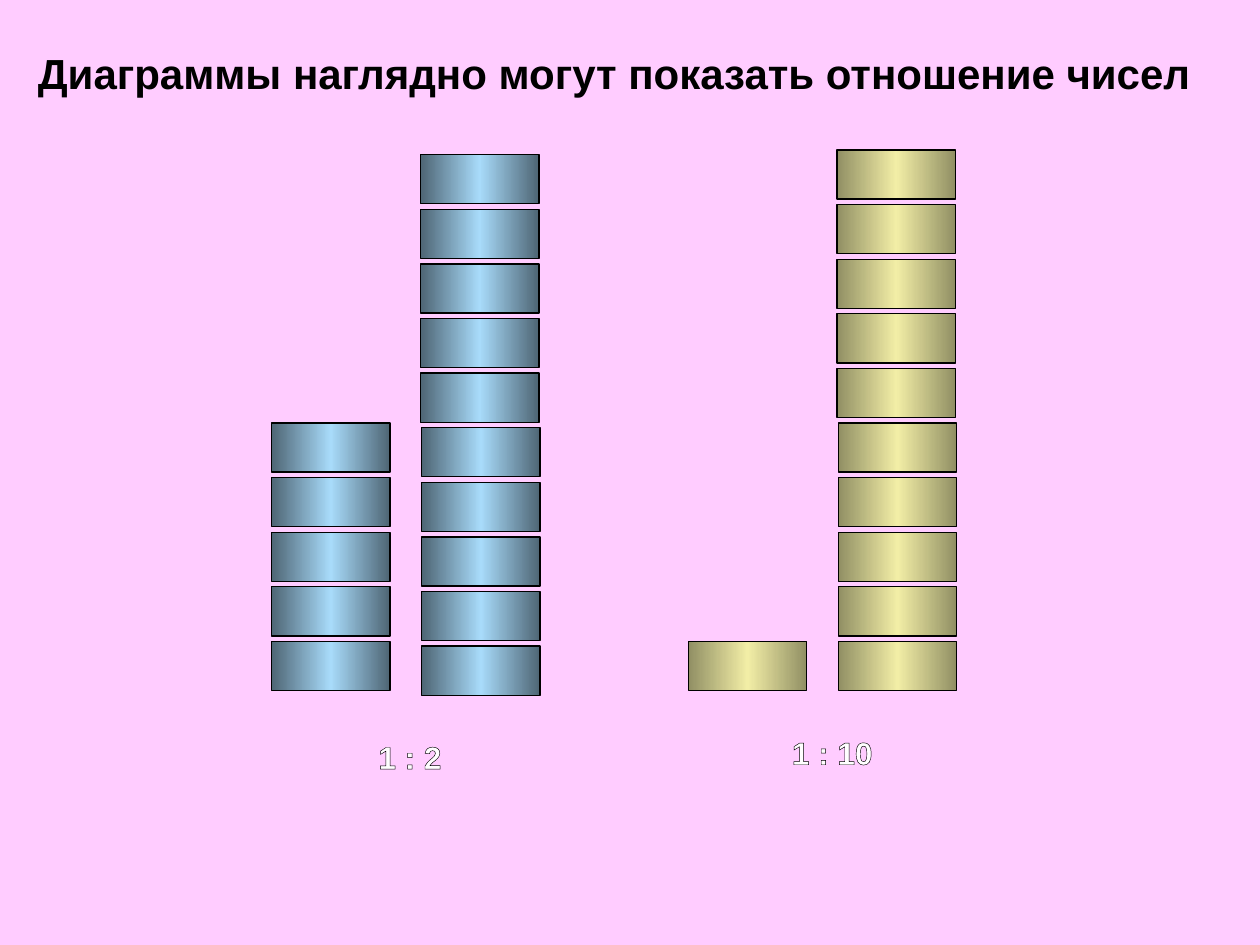
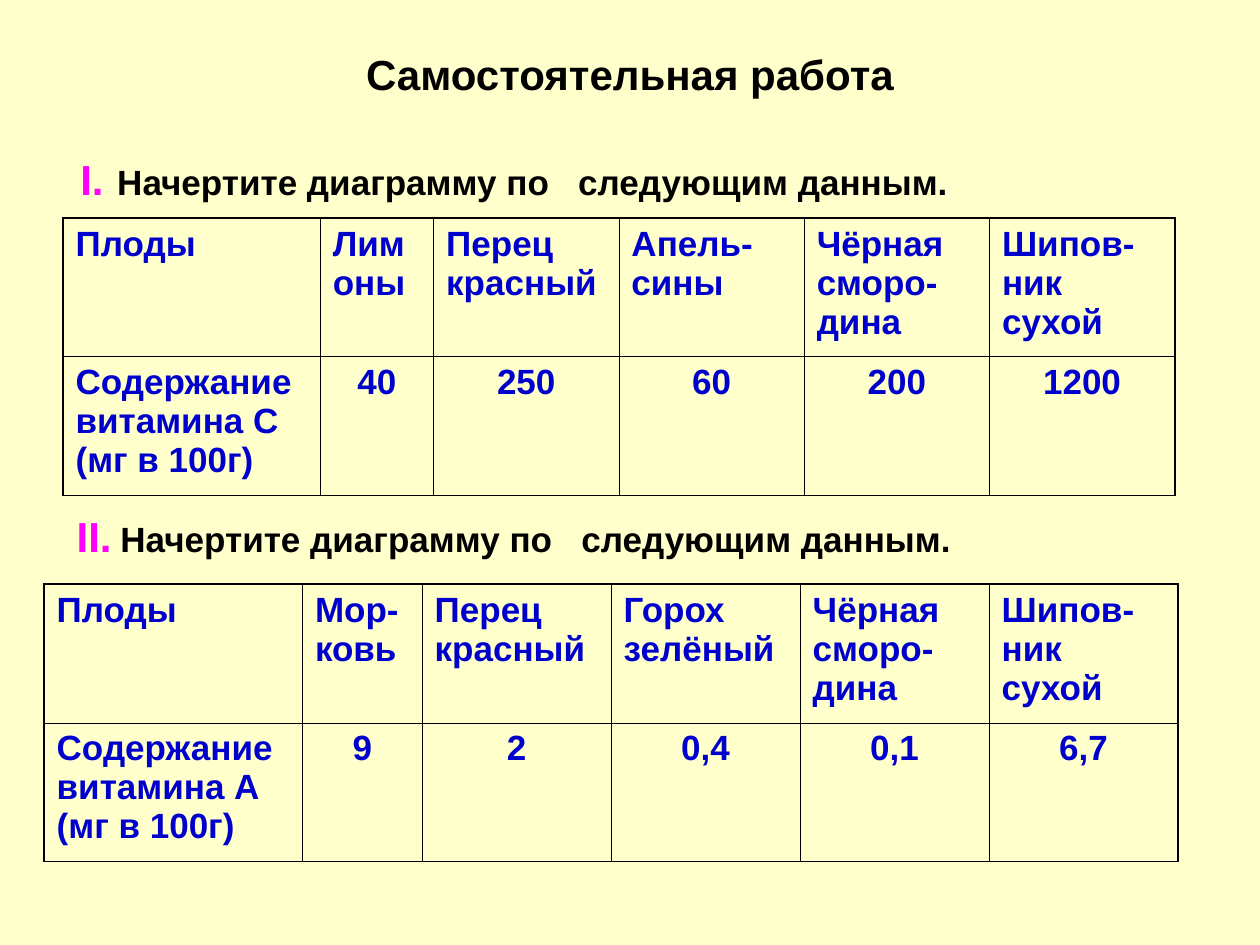
from copy import deepcopy

from lxml import etree
from pptx import Presentation
from pptx.dml.color import RGBColor
from pptx.enum import shapes, text
from pptx.oxml.ns import qn
from pptx.util import Pt

# Shared style
FONT = "Arial"
BLACK, WHITE, MAGENTA, NAVY = "000000", "FFFFFF", "FF00FF", "0000CC"
BLUE = ("4E6574", "A8DBFA", "4E6574")
OLIVE = ("918F64", "F2EEA6", "918F64")
BRICK_WIDTH, BRICK_HEIGHT, BRICK_STEP = 67.7, 28.1, 31.2
LEFT, CENTER = text.PP_ALIGN.LEFT, text.PP_ALIGN.CENTER


def color(value):
    return RGBColor.from_string(value)


def add_line(parent, tag, width, position=None):
    """Add a black outline of the given width to an XML element."""
    line = etree.Element(qn(tag), w=str(Pt(width)))
    fill = etree.SubElement(line, qn("a:solidFill"))
    etree.SubElement(fill, qn("a:srgbClr"), val=BLACK)
    parent.insert(len(parent) if position is None else position, line)


class SlideBuilder:
    def __init__(self, deck):
        self.deck = deck
        self.page = None

    def start(self, background):
        self.page = self.deck.slides.add_slide(self.deck.slide_layouts[5])
        self.page.background.fill.solid()
        self.page.background.fill.fore_color.rgb = color(background)

    def style(self, font, size, shade=BLACK, bold=True):
        font.name, font.size, font.bold = FONT, Pt(size), bold
        font.color.rgb = color(shade)

    def title(self, wording, left, top, width, height, align):
        box = self.page.shapes.title
        box.left, box.top, box.width, box.height = map(Pt, (left, top, width, height))
        frame = box.text_frame
        frame.text = wording
        frame.vertical_anchor = text.MSO_ANCHOR.MIDDLE
        para = frame.paragraphs[0]
        para.alignment = align
        self.style(para.font, 24)

    def text_box(self, left, top, width, height):
        box = self.page.shapes.add_textbox(*map(Pt, (left, top, width, height)))
        box.text_frame.word_wrap = True
        return box.text_frame.paragraphs[0]

    def outlined_label(self, wording, left, top, width):
        para = self.text_box(left, top, width, 30)
        para.alignment = CENTER
        span = para.add_run()
        span.text = wording
        self.style(span.font, 18, WHITE)
        add_line(span._r.get_or_add_rPr(), "a:ln", 0.75, 0)

    def stack(self, count, left, base, shades):
        """Pile bricks upwards; those above the fifth sit slightly to the left."""
        group = self.page.shapes.add_group_shape()
        for level in range(count):
            x = left - (0.7 if level >= 5 else 0)
            brick = group.shapes.add_shape(
                shapes.MSO_SHAPE.RECTANGLE, Pt(x), Pt(base - level * BRICK_STEP),
                Pt(BRICK_WIDTH), Pt(BRICK_HEIGHT))
            brick.shadow.inherit = False
            brick.line.color.rgb = color(BLACK)
            brick.line.width = Pt(0.75)
            self.gradient(brick, shades)

    def gradient(self, shape, shades):
        shape.fill.gradient()
        shape.fill.gradient_angle = 0
        stops = shape._element.spPr.find(".//" + qn("a:gsLst"))
        stops.append(deepcopy(stops[-1]))
        for index, (stop, shade) in enumerate(zip(shape.fill.gradient_stops, shades)):
            stop.position = index / 2
            stop.color.rgb = color(shade)

    def task(self, numeral, gap_size, left, top, tab_stop):
        para = self.text_box(left, top, 650, 42)
        tabs = etree.SubElement(para._p.get_or_add_pPr(), qn("a:tabLst"))
        etree.SubElement(tabs, qn("a:tab"), pos=str(Pt(tab_stop)), algn="l")
        for wording, size, shade in (
                (numeral, 24, MAGENTA), (" ", gap_size, BLACK),
                ("Начертите диаграмму по\tследующим данным.", 20, BLACK)):
            span = para.add_run()
            span.text = wording
            self.style(span.font, size, shade)

    def table(self, rows, left, top, widths):
        frame = self.page.shapes.add_table(
            len(rows), len(widths), Pt(left), Pt(top), Pt(sum(widths)), Pt(158.4))
        grid = frame.table
        grid.first_row = grid.horz_banding = False
        for column, width in zip(grid.columns, widths):
            column.width = Pt(width)
        for r, row in enumerate(rows):
            for c, wording in enumerate(row):
                cell = grid.cell(r, c)
                cell.text = wording
                para = cell.text_frame.paragraphs[0]
                para.alignment = CENTER if r and c else LEFT
                self.style(para.font, 20, NAVY)
                # Heavier lines on the outer edge
                outer = (c == 0, c == len(row) - 1, r == 0, r == len(rows) - 1)
                for side, heavy in zip("LRTB", outer):
                    add_line(cell._tc.get_or_add_tcPr(), f"a:ln{side}", 1.08 if heavy else 0.45)
                cell.fill.background()


def ratio_slide(builder):
    builder.start("FFCCFF")
    builder.title("Диаграммы наглядно могут показать отношение чисел",
                  14.4, 23.8, 691.2, 36, LEFT)
    # Pairs of stacks
    builder.stack(5, 155.2, 366.5, BLUE)
    builder.stack(10, 241, 369.2, BLUE)
    builder.outlined_label("1 : 2", 177.8, 418, 113)
    builder.stack(1, 393.4, 366.5, OLIVE)
    builder.stack(10, 479, 366.5, OLIVE)
    builder.outlined_label("1 : 10", 410.4, 415.5, 130.3)


def exercise_slide(builder):
    builder.start("FFFFCC")
    builder.title("Самостоятельная работа", 36, 21.6, 648, 41, CENTER)
    # First task
    builder.task("I.", 28, 38.8, 80, 284.5)
    builder.table([
        ["Плоды", "Лимоны", "Перец красный", "Апель-сины", "Чёрная сморо-дина",
         "Шипов-ник сухой"],
        ["Содержание витамина С (мг в 100г)", "40", "250", "60", "200", "1200"],
    ], 36, 124.6, [147, 64.8] + [105.9] * 4)
    # Second task
    builder.task("II.", 18, 36.7, 288, 288.4)
    builder.table([
        ["Плоды", "Мор-ковь", "Перец красный", "Горох зелёный", "Чёрная сморо-дина",
         "Шипов-ник сухой"],
        ["Содержание витамина А (мг в 100г)", "9", "2", "0,4", "0,1", "6,7"],
    ], 25.2, 333.8, [147.6, 68.4] + [108] * 4)


def main():
    deck = Presentation()
    deck.slide_width, deck.slide_height = Pt(720), Pt(540)
    builder = SlideBuilder(deck)
    ratio_slide(builder)
    exercise_slide(builder)
    deck.save("out.pptx")


if __name__ == "__main__":
    main()
